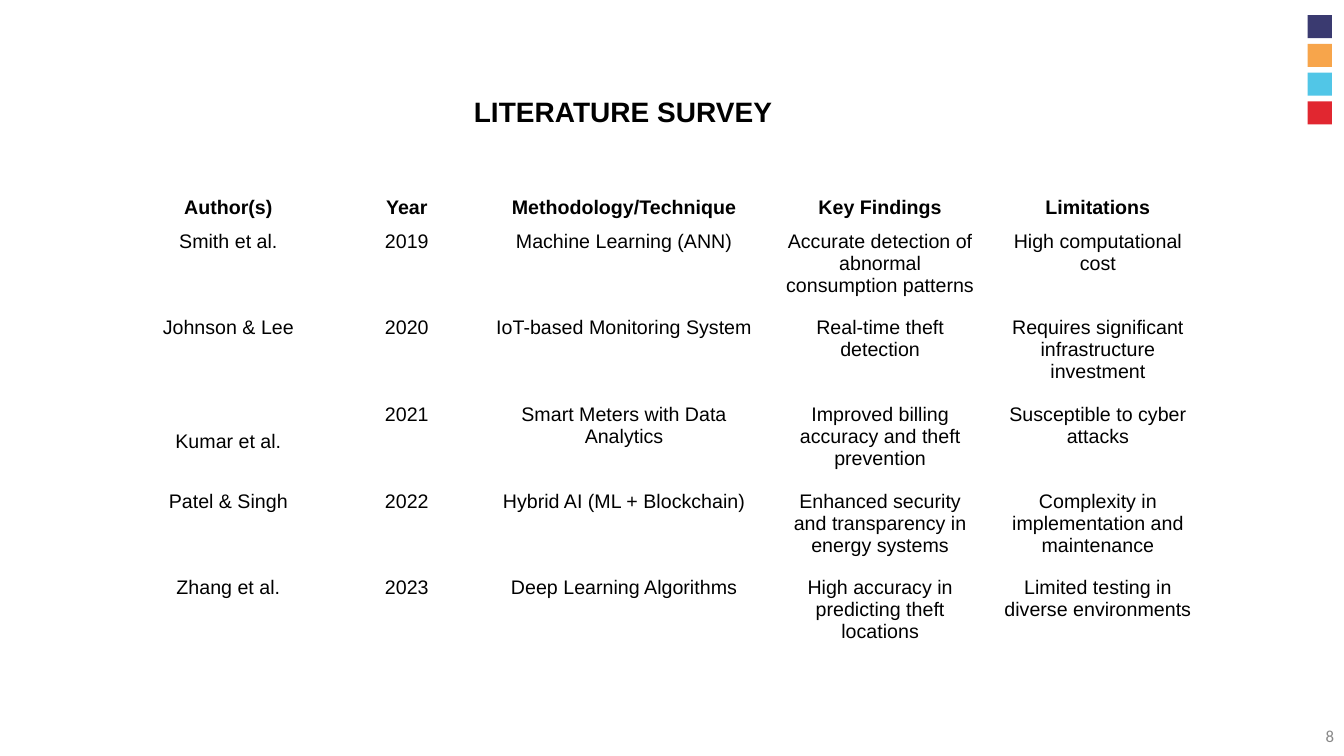
from pptx import Presentation
from pptx.dml.color import RGBColor
from pptx.enum.shapes import MSO_SHAPE
from pptx.enum.text import MSO_ANCHOR, MSO_AUTO_SIZE, PP_ALIGN
from pptx.util import Inches, Pt

RECTANGLE = MSO_SHAPE.RECTANGLE
TOP, MIDDLE = MSO_ANCHOR.TOP, MSO_ANCHOR.MIDDLE
LEFT, CENTER, RIGHT = PP_ALIGN.LEFT, PP_ALIGN.CENTER, PP_ALIGN.RIGHT
NO_AUTOFIT = MSO_AUTO_SIZE.NONE

TITLE = "LITERATURE SURVEY"
PAGE_NUMBER = "8"
SURVEY = [
    ("Author(s)", "Year", "Methodology/Technique", "Key Findings", "Limitations"),
    ("Smith et al.", "2019", "Machine Learning (ANN)",
     "Accurate detection of abnormal consumption patterns", "High computational cost"),
    ("Johnson & Lee", "2020", "IoT-based Monitoring System",
     "Real-time theft detection", "Requires significant infrastructure investment"),
    ("Kumar et al.", "2021", "Smart Meters with Data Analytics",
     "Improved billing accuracy and theft prevention", "Susceptible to cyber attacks"),
    ("Patel & Singh", "2022", "Hybrid AI (ML + Blockchain)",
     "Enhanced security and transparency in energy systems",
     "Complexity in implementation and maintenance"),
    ("Zhang et al.", "2023", "Deep Learning Algorithms",
     "High accuracy in predicting theft locations",
     "Limited testing in diverse environments"),
]
MIDDLE_CELLS = {(3, 0)}
COLUMN_WIDTHS = (2.15, 1.39, 2.92, 2.16, 2.16)
HEADER_HEIGHT, ROW_HEIGHT = 0.33, 0.86
TABLE_LEFT, TABLE_TOP = 1.19, 1.9

SQUARE_COLORS = ("3A3A70", "F7A54B", "51C6E7", "E12730")
SQUARE_LEFT, SQUARE_TOP, SQUARE_PITCH = 12.97, 0.15, 0.285
SQUARE_WIDTH, SQUARE_HEIGHT = 0.24, 0.23


def color(hex_code):
    return RGBColor.from_string(hex_code)


def write(text_frame, text, size, alignment, bold=False, font_name="Arial", hex_code="000000"):
    text_frame.text = text
    paragraph = text_frame.paragraphs[0]
    paragraph.alignment = alignment
    font = paragraph.font
    font.name, font.size, font.bold = font_name, Pt(size), bold
    font.color.rgb = color(hex_code)


def add_squares(slide):
    for index, hex_code in enumerate(SQUARE_COLORS):
        square = slide.shapes.add_shape(
            RECTANGLE, Inches(SQUARE_LEFT), Inches(SQUARE_TOP + index * SQUARE_PITCH),
            Inches(SQUARE_WIDTH), Inches(SQUARE_HEIGHT))
        square.shadow.inherit = False
        square.fill.solid()
        square.fill.fore_color.rgb = color(hex_code)
        square.line.fill.background()


def add_page_number(slide):
    box = slide.shapes.add_textbox(Inches(10.33), Inches(7.1), Inches(3), Inches(0.4))
    box.text_frame.word_wrap = True
    box.text_frame.vertical_anchor = MIDDLE
    write(box.text_frame, PAGE_NUMBER, 12, RIGHT, font_name="Calibri", hex_code="888888")


def place_title(slide):
    title = slide.shapes.title
    title.left, title.top = Inches(3.29), Inches(0.88)
    title.width, title.height = Inches(6.14), Inches(0.44)
    frame = title.text_frame
    frame.auto_size = NO_AUTOFIT
    frame.vertical_anchor = MIDDLE
    frame.margin_left = Inches(1.41)
    write(frame, TITLE, 20, LEFT, bold=True)


def add_survey_table(slide):
    row_heights = [HEADER_HEIGHT] + [ROW_HEIGHT] * (len(SURVEY) - 1)
    table = slide.shapes.add_table(
        len(SURVEY), len(COLUMN_WIDTHS), Inches(TABLE_LEFT), Inches(TABLE_TOP),
        Inches(sum(COLUMN_WIDTHS)), Inches(sum(row_heights))).table
    table.first_row = table.horz_banding = False
    for column, width in zip(table.columns, COLUMN_WIDTHS):
        column.width = Inches(width)
    for row, height in zip(table.rows, row_heights):
        row.height = Inches(height)
    for row_index, entries in enumerate(SURVEY):
        for column_index, text in enumerate(entries):
            cell = table.cell(row_index, column_index)
            cell.fill.background()
            cell.vertical_anchor = MIDDLE if (row_index, column_index) in MIDDLE_CELLS else TOP
            write(cell.text_frame, text, 14, CENTER, bold=row_index == 0)


def main():
    presentation = Presentation()
    presentation.slide_width, presentation.slide_height = Inches(13.33), Inches(7.5)
    slide = presentation.slides.add_slide(presentation.slide_layouts.get_by_name("Title Only"))
    slide.background.fill.solid()
    slide.background.fill.fore_color.rgb = color("FFFFFF")
    add_squares(slide)
    add_page_number(slide)
    place_title(slide)
    add_survey_table(slide)
    presentation.save("out.pptx")


if __name__ == "__main__":
    main()
